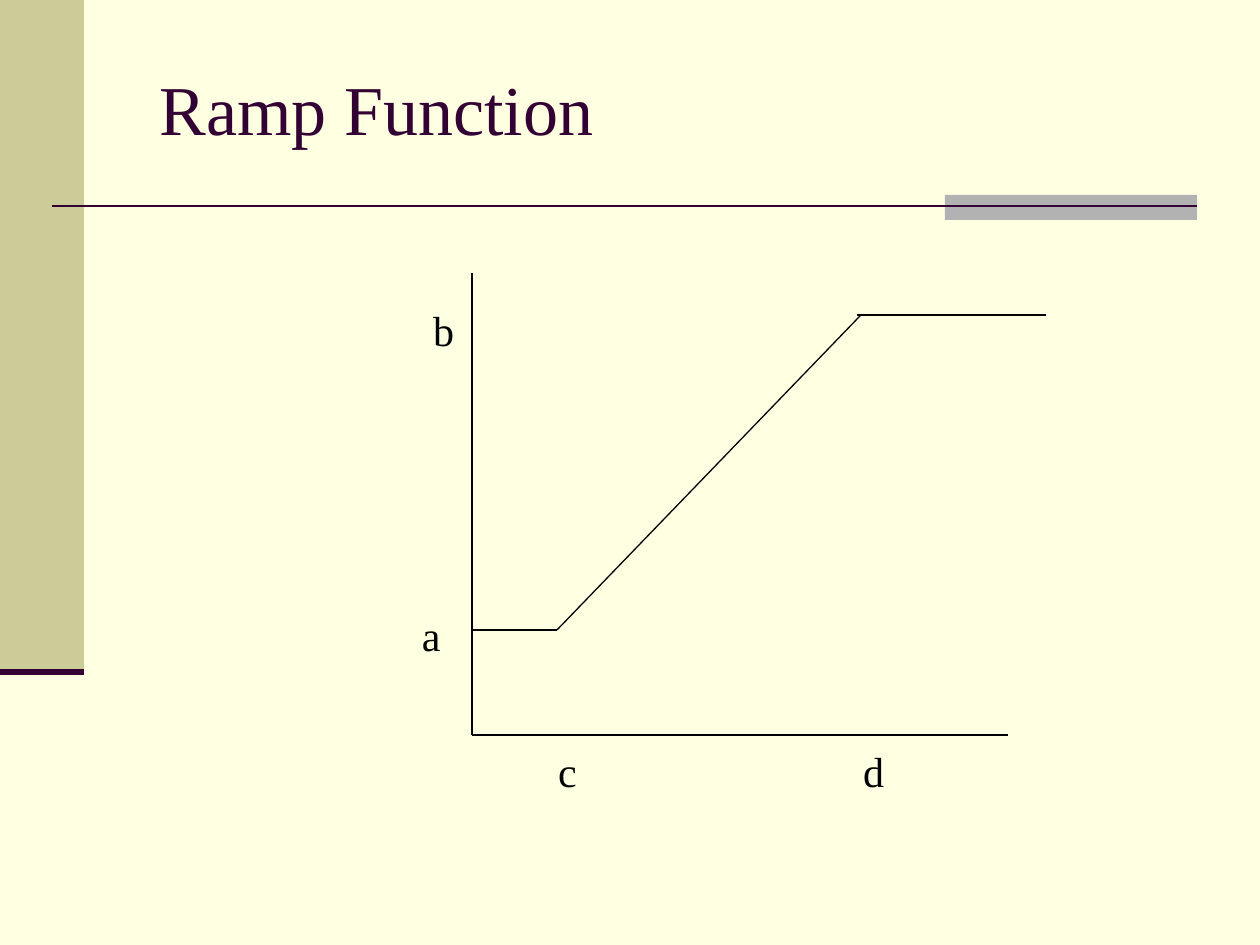
from lxml import etree
from pptx import Presentation
from pptx.dml.color import RGBColor
from pptx.enum.shapes import MSO_CONNECTOR as Link, MSO_SHAPE as Shape
from pptx.enum.text import MSO_ANCHOR as Anchor, PP_ALIGN as Align
from pptx.oxml.ns import qn
from pptx.util import Emu, Pt

PX = 914400 // 126
CREAM = RGBColor(0xFF, 0xFF, 0xE1)
OLIVE = RGBColor(0xCC, 0xCC, 0x99)
GREY = RGBColor(0xB2, 0xB2, 0xB2)
PLUM = RGBColor(0x33, 0x00, 0x33)
BLACK = RGBColor(0, 0, 0)
FONT = "Times New Roman"

TITLE = ("Ramp Function", (147, 52, 746, 97))
BARS = [((0, 0, 84, 672), OLIVE), ((945, 195, 252, 25), GREY)]
RULES = [((52, 206), (1197, 206), 1.5), ((0, 672), (84, 672), 3.5)]

# Graph coordinates
LEFT, BASE = 472, 735
LOW, HIGH = 630, 315
START, END = 557, 861
GRAPH = [
    ((LEFT, 273), (LEFT, BASE)),
    ((LEFT, BASE), (1008, BASE)),
    ((LEFT, LOW), (START, LOW)),
    ((857, HIGH), (1046, HIGH)),
    ((START, LOW), (END, HIGH)),
]
# text, box, left inset
LABELS = [
    ("c\td", (504, 735, 473, 63), 54),
    ("b", (420, 294, 42, 63), 13),
    ("a", (409, 599, 53, 63), 13),
]


def px(*nums):
    return [Emu(n * PX) for n in nums]


def add_bar(slide, box, color):
    bar = slide.shapes.add_shape(Shape.RECTANGLE, *px(*box))
    bar.shadow.inherit = False
    bar.fill.solid()
    bar.fill.fore_color.rgb = color
    bar.line.fill.background()


def add_line(slide, head, tail, width=0.75, color=BLACK):
    line = slide.shapes.add_connector(Link.STRAIGHT, *px(*head, *tail))
    line.line.color.rgb = color
    line.line.width = Pt(width)
    etree.SubElement(line._element.spPr, qn("a:effectLst"))


def set_text(shape, text, size, color, inset, top):
    frame = shape.text_frame
    frame.text = text
    frame.word_wrap = True
    frame.vertical_anchor = Anchor.TOP
    frame.margin_left, frame.margin_top = px(inset, top)
    para = frame.paragraphs[0]
    para.alignment = Align.LEFT
    for run in para.runs:
        run.font.name = FONT
        run.font.size = Pt(size)
        run.font.color.rgb = color
    return para


def add_tab(para, pos):
    tabs = etree.SubElement(para._p.get_or_add_pPr(), qn("a:tabLst"))
    etree.SubElement(tabs, qn("a:tab"), pos=str(pos * PX), algn="l")


def main():
    deck = Presentation()
    deck.slide_width, deck.slide_height = px(1260, 945)
    slide = deck.slides.add_slide(deck.slide_layouts[5])
    slide.background.fill.solid()
    slide.background.fill.fore_color.rgb = CREAM

    for box, color in BARS:
        add_bar(slide, box, color)
    for head, tail, width in RULES:
        add_line(slide, head, tail, width, PLUM)

    text, box = TITLE
    title = slide.shapes.title
    title.left, title.top, title.width, title.height = px(*box)
    set_text(title, text, 40, PLUM, 13, 14)

    for head, tail in GRAPH:
        add_line(slide, head, tail)
    for text, box, inset in LABELS:
        label = slide.shapes.add_textbox(*px(*box))
        para = set_text(label, text, 24, BLACK, inset, 11)
        if "\t" in text:
            add_tab(para, END - START + 1)

    deck.save("out.pptx")


if __name__ == "__main__":
    main()
